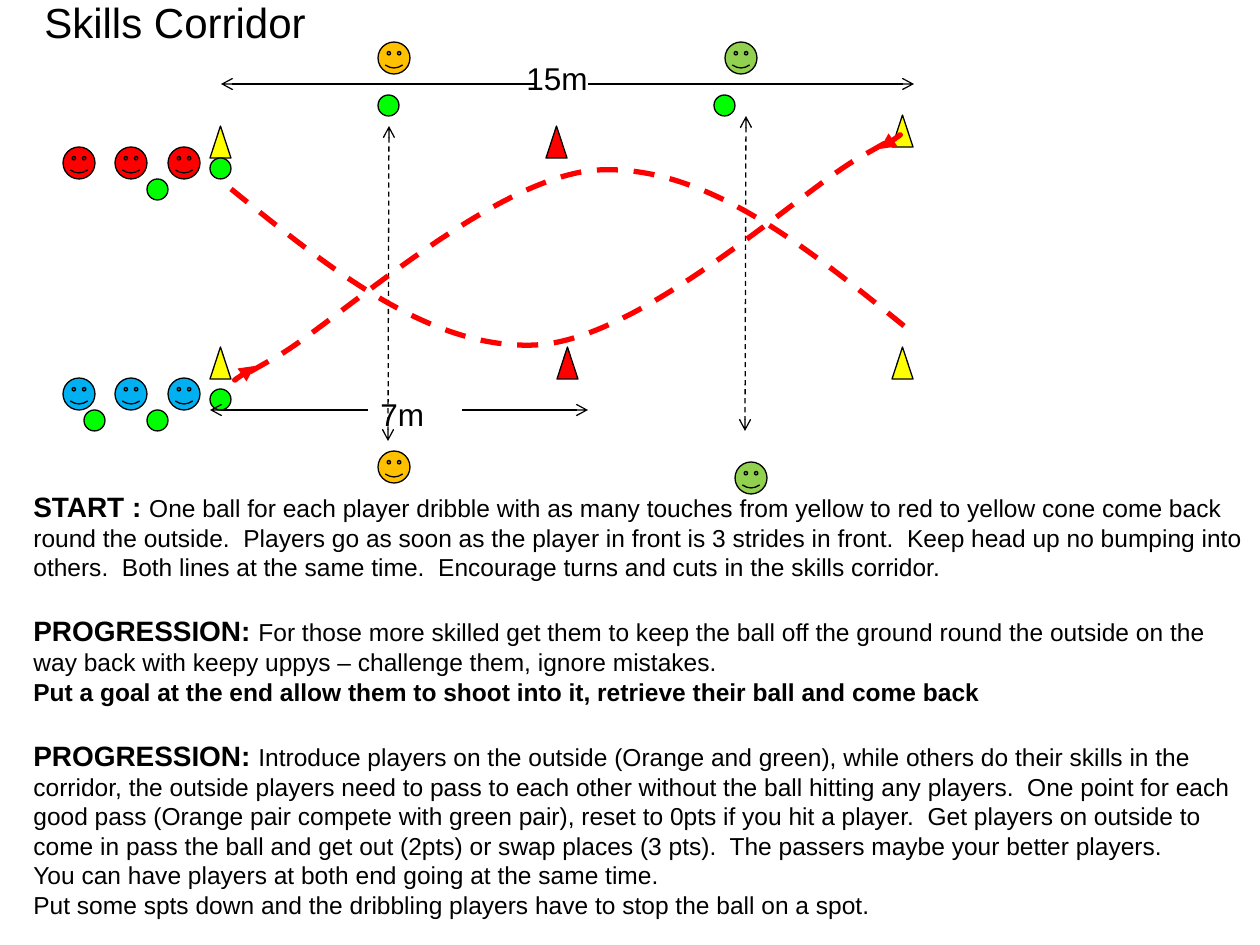
from dataclasses import dataclass
from lxml.etree import SubElement
from pptx import Presentation
from pptx.dml.color import RGBColor
from pptx.enum.dml import MSO_LINE
from pptx.enum.shapes import MSO_CONNECTOR, MSO_SHAPE
from pptx.oxml.ns import qn
from pptx.util import Pt

FACE = MSO_SHAPE.SMILEY_FACE
CONE = MSO_SHAPE.ISOSCELES_TRIANGLE
BALL = MSO_SHAPE.OVAL
LINE = MSO_CONNECTOR.STRAIGHT
DASH = MSO_LINE.DASH


@dataclass(frozen=True)
class Theme:
    font: str = "Arial"
    black: str = "000000"
    red: str = "FF0000"
    blue: str = "00B0F0"
    yellow: str = "FFFF00"
    lime: str = "00FF00"
    orange: str = "FFC000"
    green: str = "92D050"
    title: int = 24
    label: int = 18
    head: int = 16
    body: int = 14
    thin: float = 0.75
    thick: float = 3


theme = Theme()
PX = 914400 / 126

deck = Presentation()
deck.slide_width, deck.slide_height = round(1260 * PX), round(945 * PX)
slide = deck.slides.add_slide(deck.slide_layouts[6])
shapes = slide.shapes


def write(box, paras, wrap):
    left, top, width, height = [round(v * PX) for v in box]
    frame = shapes.add_textbox(left, top, width, height).text_frame
    frame.word_wrap = wrap
    for i, (gap, parts) in enumerate(paras):
        para = frame.add_paragraph() if i else frame.paragraphs[0]
        para.space_before = Pt(gap)
        for text, size, bold in parts:
            run = para.add_run()
            run.text = text
            run.font.name = theme.font
            run.font.size = Pt(size)
            run.font.bold = bold
            run.font.color.rgb = RGBColor.from_string(theme.black)


def stroke(shape, color, width, dash, head, tail):
    shape.line.color.rgb = RGBColor.from_string(color)
    shape.line.width = Pt(width)
    if dash:
        shape.line.dash_style = dash
    edge = shape._element.xpath(".//a:ln")[0]
    for tag, kind in (("a:headEnd", head), ("a:tailEnd", tail)):
        if kind:
            SubElement(edge, qn(tag), type=kind)


write((32, -10, 290, 64), [(0, [("Skills Corridor", theme.title, False)])], False)

faces = [(x, y, color) for y, color in ((147, theme.red), (378, theme.blue))
         for x in (63, 115, 168)]
faces += [(378, 42, theme.orange), (378, 451, theme.orange),
          (725, 42, theme.green), (735, 462, theme.green)]
cones = [(892, 115, theme.yellow), (892, 347, theme.yellow),
         (210, 126, theme.yellow), (210, 347, theme.yellow),
         (557, 347, theme.red), (546, 126, theme.red)]
balls = [(x, y, theme.lime) for x, y in
         ((210, 158), (378, 95), (84, 410), (147, 410),
          (147, 179), (210, 389), (714, 95))]

for kind, wide, high, spots in ((FACE, 32, 32, faces), (CONE, 21, 32, cones),
                                (BALL, 21, 21, balls)):
    for x, y, color in spots:
        item = shapes.add_shape(kind, round(x * PX), round(y * PX),
                                round(wide * PX), round(high * PX))
        item.shadow.inherit = False
        item.fill.solid()
        item.fill.fore_color.rgb = RGBColor.from_string(color)
        stroke(item, theme.black, theme.thin, None, None, None)

for text, box in (("15m", (514, 53, 87, 50)), ("7m", (368, 389, 69, 50))):
    write(box, [(0, [(text, theme.label, False)])], False)

for ends, dash, head in (
        ((536, 84, 221, 84), None, None),
        ((588, 84, 914, 84), None, None),
        ((368, 410, 210, 410), None, None),
        ((462, 410, 588, 410), None, None),
        ((746, 116, 745, 431), DASH, "arrow"),
        ((389, 126, 388, 441), DASH, "arrow")):
    link = shapes.add_connector(LINE, *[round(v * PX) for v in ends])
    stroke(link, theme.black, theme.thin, dash, head, "arrow")
    SubElement(link._element.spPr, qn("a:effectLst"))

route = [(231, 189), (331, 270), (431, 350), (536, 345), (640, 340),
         (800, 192), (857, 159), (915, 126), (897, 137), (880, 149)]
back = [(1135 - x, 515 - y) for x, y in route]
for track in (route, back):
    pen = shapes.build_freeform(*track[0], scale=PX)
    pen.add_line_segments(track[1:], close=False)
    run = pen.convert_to_shape()
    run.shadow.inherit = False
    run.fill.background()
    stroke(run, theme.red, theme.thick, DASH, None, "triangle")
    trail = run._element.xpath(".//a:path")[0]
    legs = run._element.xpath(".//a:lnTo")
    for i in range(0, len(legs), 3):
        curve = SubElement(trail, qn("a:cubicBezTo"))
        for leg in legs[i:i + 3]:
            curve.append(leg[0])
            trail.remove(leg)

GAP = 18.4
notes = [
    (0, [("START : ", theme.head, True),
         ("One ball for each player dribble with as many touches from yellow to red "
          "to yellow cone come back round the outside.  Players go as soon as the "
          "player in front is 3 strides in front.  Keep head up no bumping into "
          "others.  Both lines at the same time.  Encourage turns and cuts in the "
          "skills corridor.", theme.body, False)]),
    (GAP, [("PROGRESSION: ", theme.head, True),
           ("For those more skilled get them to keep the ball off the ground round "
            "the outside on the way back with keepy uppys – challenge them, ignore "
            "mistakes.", theme.body, False)]),
    (0, [("Put a goal at the end allow them to shoot into it, retrieve their ball "
          "and come back", theme.body, True)]),
    (GAP, [("PROGRESSION: ", theme.head, True),
           ("Introduce players on the outside (Orange and green), while others do "
            "their skills in the corridor, the outside players need to pass to each "
            "other without the ball hitting any players.  One point for each good "
            "pass (Orange pair compete with green pair), reset to 0pts if you hit a "
            "player.  Get players on outside to come in pass the ball and get out "
            "(2pts) or swap places (3 pts).  The passers maybe your better players.",
            theme.body, False)]),
    (0, [("You can have players at both end going at the same time.",
          theme.body, False)]),
    (0, [("Put some spts down and the dribbling players have to stop the ball on a "
          "spot.", theme.body, False)]),
]
write((21, 483, 1239, 450), notes, True)

deck.save("out.pptx")
